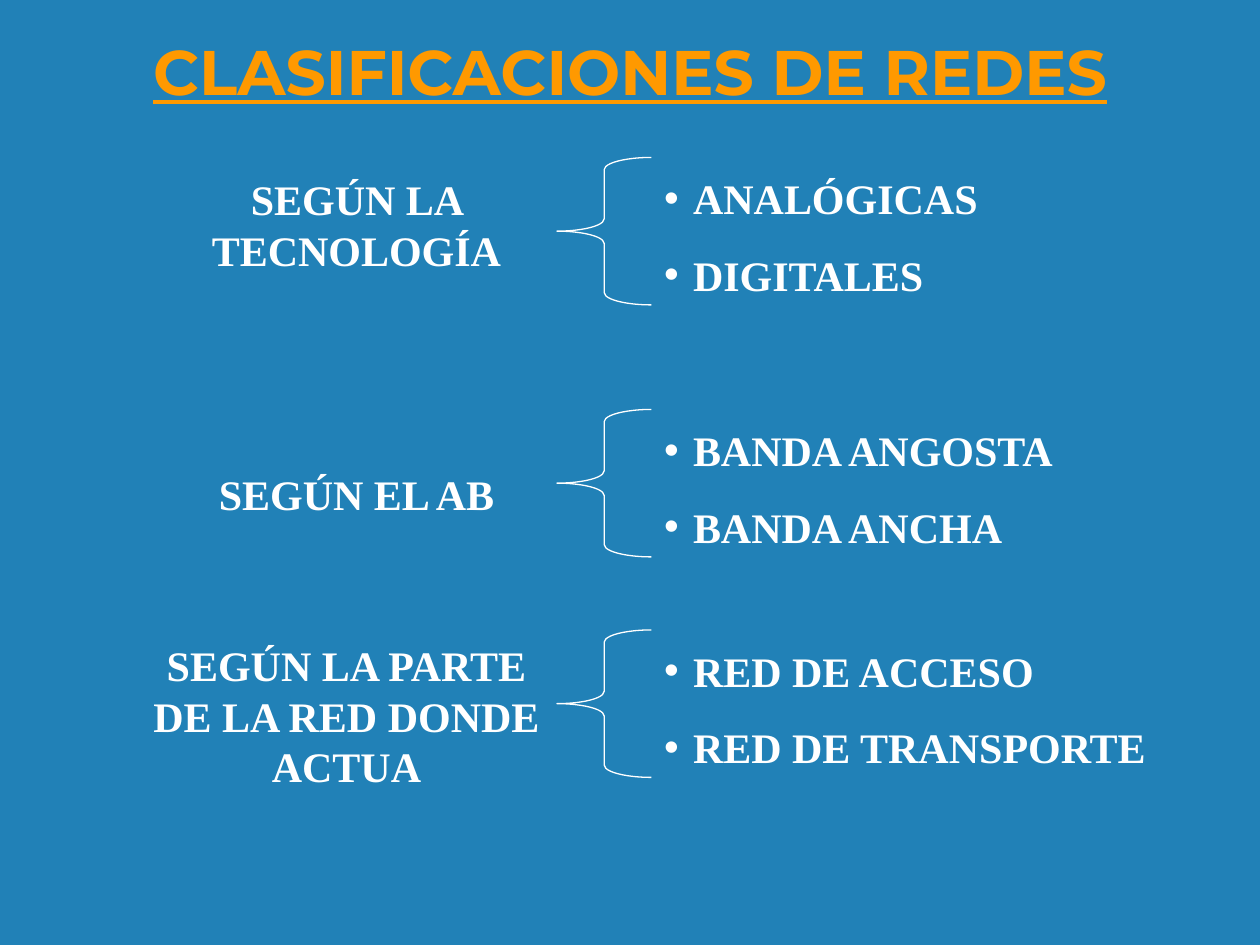
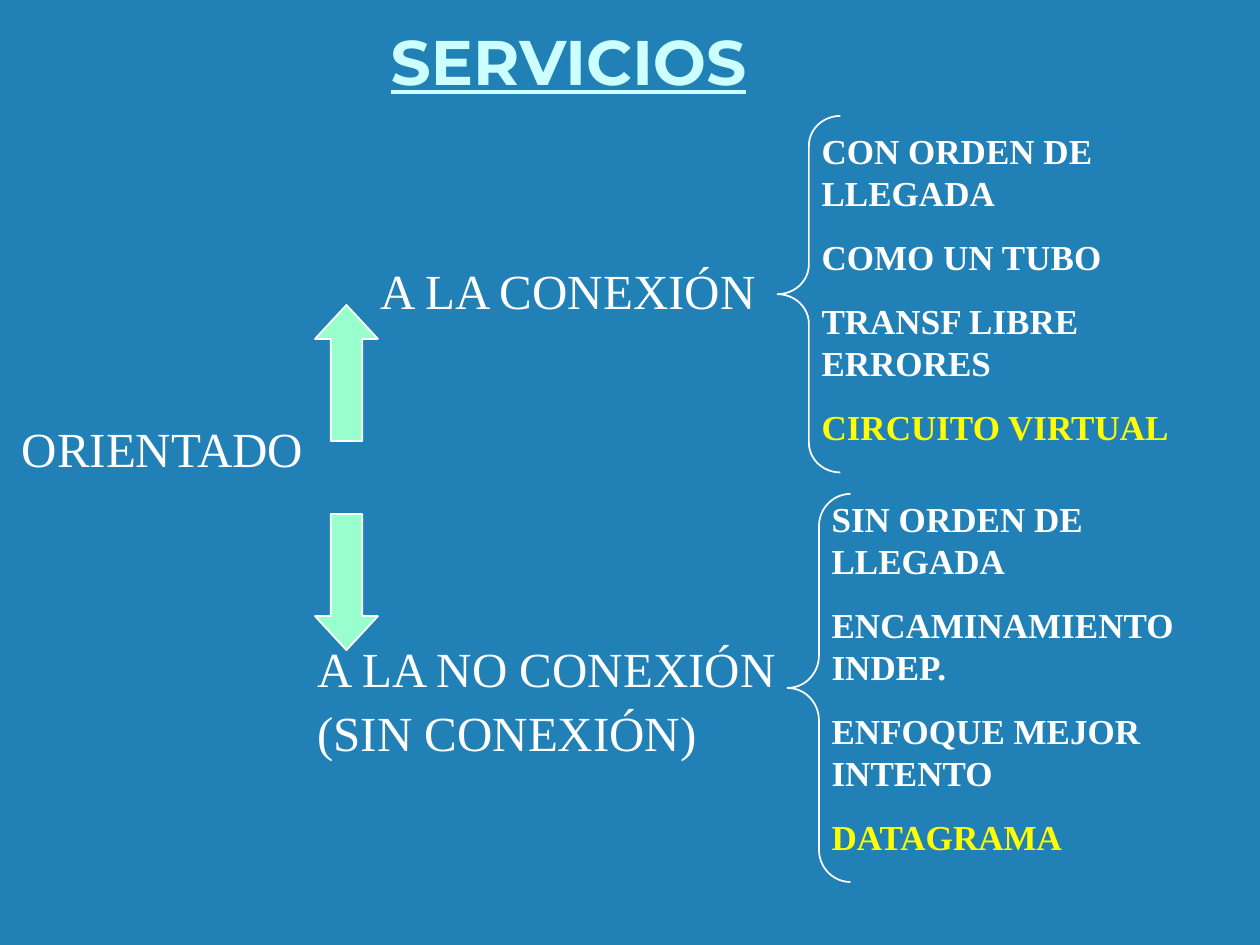
from dataclasses import dataclass

import pptx
import pptx.dml.color
import pptx.enum.shapes
import pptx.enum.text
import pptx.oxml.ns
import pptx.shapes.base
import pptx.slide
import pptx.text.text
import pptx.util
from lxml import etree

Inches = pptx.util.Inches
Pt = pptx.util.Pt
Align = pptx.enum.text.PP_ALIGN
Anchor = pptx.enum.text.MSO_ANCHOR
Shape = pptx.enum.shapes.MSO_SHAPE

COLORS = {
    "back": "2181B7",
    "text": "FFFFFF",
    "orange": "FF9900",
    "ice": "CCFFFF",
    "yellow": "FFFF00",
    "mint": "99FFCC",
}
HEAD = "Montserrat"
BODY = "Times New Roman"
TWO_LISTS, FOUR_LISTS = 3, 4
INDENT = 0.23


@dataclass
class Box:
    left: float
    top: float
    width: float
    height: float


@dataclass
class Style:
    size: float
    color: str = "text"
    bold: bool = True
    name: str = BODY
    line: bool = False
    align: Align = Align.LEFT
    gap: float = 0
    bullet: bool = False


@dataclass
class Group:
    """A label with a brace that opens onto a list."""
    label: list[str]
    label_box: Box
    brace: Box
    items: list[str]
    list_box: Box


LABEL = Style(24, align=Align.CENTER)
BULLETS = Style(24, gap=15, bullet=True)
TERM = Style(28, bold=False, gap=17.5)
TRAITS = Style(20, gap=12.5)


def rgb(key: str) -> pptx.dml.color.RGBColor:
    return pptx.dml.color.RGBColor.from_string(COLORS[key])


def place(shape: pptx.shapes.base.BaseShape, box: Box) -> None:
    shape.left, shape.top = Inches(box.left), Inches(box.top)
    shape.width, shape.height = Inches(box.width), Inches(box.height)


def mark(para: pptx.text.text._Paragraph, bullet: bool) -> None:
    """Set the indent and the bullet, or clear those of the layout."""
    props = para._p.get_or_add_pPr()
    indent = Inches(INDENT) if bullet else 0
    props.set("marL", str(indent))
    props.set("indent", str(-indent))
    tag = "a:buChar" if bullet else "a:buNone"
    node = etree.SubElement(props, pptx.oxml.ns.qn(tag))
    if bullet:
        node.set("char", "•")


def write(shape: pptx.shapes.base.BaseShape, lines: list[str], style: Style,
          anchor: Anchor = Anchor.TOP) -> None:
    frame = shape.text_frame
    frame.word_wrap = True
    frame.auto_size = pptx.enum.text.MSO_AUTO_SIZE.NONE
    frame.vertical_anchor = anchor
    frame.text = "\n".join(lines)
    for i, para in enumerate(frame.paragraphs):
        para.alignment = style.align
        para.space_before = Pt(style.gap if i else 0)
        mark(para, style.bullet)
        font = para.font
        font.name, font.size = style.name, Pt(style.size)
        font.bold, font.underline = style.bold, style.line
        font.color.rgb = rgb(style.color)


def add_text(slide: pptx.slide.Slide, box: Box, lines: list[str],
             style: Style) -> pptx.shapes.base.BaseShape:
    shape = slide.shapes.add_textbox(0, 0, 0, 0)
    place(shape, box)
    write(shape, lines, style)
    return shape


def add_shape(slide: pptx.slide.Slide, kind: Shape, box: Box,
              weight: float) -> pptx.shapes.base.BaseShape:
    shape = slide.shapes.add_shape(kind, 0, 0, 0, 0)
    place(shape, box)
    shape.shadow.inherit = False
    shape.line.color.rgb = rgb("text")
    shape.line.width = Pt(weight)
    return shape


def add_brace(slide: pptx.slide.Slide, box: Box, weight: float) -> None:
    """Draw a brace whose curls are a twelfth of its height."""
    brace = add_shape(slide, Shape.LEFT_BRACE, box, weight)
    brace.fill.background()
    brace.adjustments[0] = box.height / 12 / min(box.width, box.height)


def add_arrow(slide: pptx.slide.Slide, kind: Shape, top: float) -> None:
    arrow = add_shape(slide, kind, Box(2.5, top, 0.5, 1.08), 1)
    arrow.fill.solid()
    arrow.fill.fore_color.rgb = rgb("mint")
    arrow.adjustments[0], arrow.adjustments[1] = 0.5, 0.54


def add_group(slide: pptx.slide.Slide, group: Group, label: Style,
              items: Style, idx: int, weight: float) -> None:
    add_text(slide, group.label_box, group.label, label)
    body = slide.placeholders[idx]
    place(body, group.list_box)
    write(body, group.items, items)
    add_brace(slide, group.brace, weight)


def add_slide(deck: pptx.presentation.Presentation, layout: int, title: str,
              box: Box, color: str, align: Align) -> pptx.slide.Slide:
    slide = deck.slides.add_slide(deck.slide_layouts[layout])
    place(slide.shapes.title, box)
    style = Style(36, color, name=HEAD, line=True, align=align)
    write(slide.shapes.title, [title], style, Anchor.BOTTOM)
    return slide


def build_classes(deck: pptx.presentation.Presentation) -> None:
    slide = add_slide(deck, FOUR_LISTS, "CLASIFICACIONES DE REDES",
                      Box(0.75, 0.21, 8.5, 0.7), "orange", Align.CENTER)
    rows = [
        (1.25, "SEGÚN LA TECNOLOGÍA", Box(1.08, 1.33, 3.5, 0.9),
         ["ANALÓGICAS", "DIGITALES"]),
        (3.25, "SEGÚN EL AB", Box(1.08, 3.67, 3.5, 0.5),
         ["BANDA ANGOSTA", "BANDA ANCHA"]),
        (5, "SEGÚN LA PARTE DE LA RED DONDE ACTUA", Box(1, 5.03, 3.5, 1.3),
         ["RED DE ACCESO", "RED DE TRANSPORTE"]),
    ]
    for idx, (top, label, box, items) in enumerate(rows, 1):
        group = Group([label], box, Box(4.42, top, 0.75, 1.17),
                      items, Box(5.17, top + 0.07, 4.8, 1.11))
        add_group(slide, group, LABEL, BULLETS, idx, 0.75)
    spare = slide.placeholders[len(rows) + 1].element
    spare.getparent().remove(spare)


def build_services(deck: pptx.presentation.Presentation) -> None:
    slide = add_slide(deck, TWO_LISTS, "SERVICIOS",
                      Box(3, 0.13, 3.92, 0.7), "ice", Align.LEFT)
    add_text(slide, Box(-0.17, 3.27, 2.92, 0.57), ["ORIENTADO"],
             Style(28, bold=False, align=Align.CENTER))
    groups = [
        Group(["A LA CONEXIÓN"], Box(2.92, 2.02, 3.33, 0.57),
              Box(6.17, 0.92, 0.5, 2.83),
              ["CON ORDEN DE LLEGADA", "COMO UN TUBO",
               "TRANSF LIBRE ERRORES", "CIRCUITO VIRTUAL"],
              Box(6.42, 0.98, 3.08, 2.62)),
        Group(["A LA NO CONEXIÓN", "(SIN CONEXIÓN)"],
              Box(2.42, 5.02, 4.42, 1.05), Box(6.25, 3.92, 0.5, 3.08),
              ["SIN ORDEN DE LLEGADA", "ENCAMINAMIENTO INDEP.",
               "ENFOQUE MEJOR INTENTO", "DATAGRAMA"],
              Box(6.5, 3.9, 3.08, 2.96)),
    ]
    for idx, group in enumerate(groups, 1):
        add_group(slide, group, TERM, TRAITS, idx, 1)
        last = slide.placeholders[idx].text_frame.paragraphs[-1]
        last.font.color.rgb = rgb("yellow")
    for shape in slide.shapes:
        if shape.has_text_frame and len(shape.text_frame.paragraphs) == 2:
            shape.text_frame.paragraphs[1].line_spacing = 0.5
    add_arrow(slide, Shape.UP_ARROW, 2.42)
    add_arrow(slide, Shape.DOWN_ARROW, 4.08)


def main() -> None:
    deck = pptx.Presentation()
    deck.slide_width, deck.slide_height = Inches(10), Inches(7.5)
    fill = deck.slide_master.background.fill
    fill.solid()
    fill.fore_color.rgb = rgb("back")
    build_classes(deck)
    build_services(deck)
    deck.save("out.pptx")


if __name__ == "__main__":
    main()
